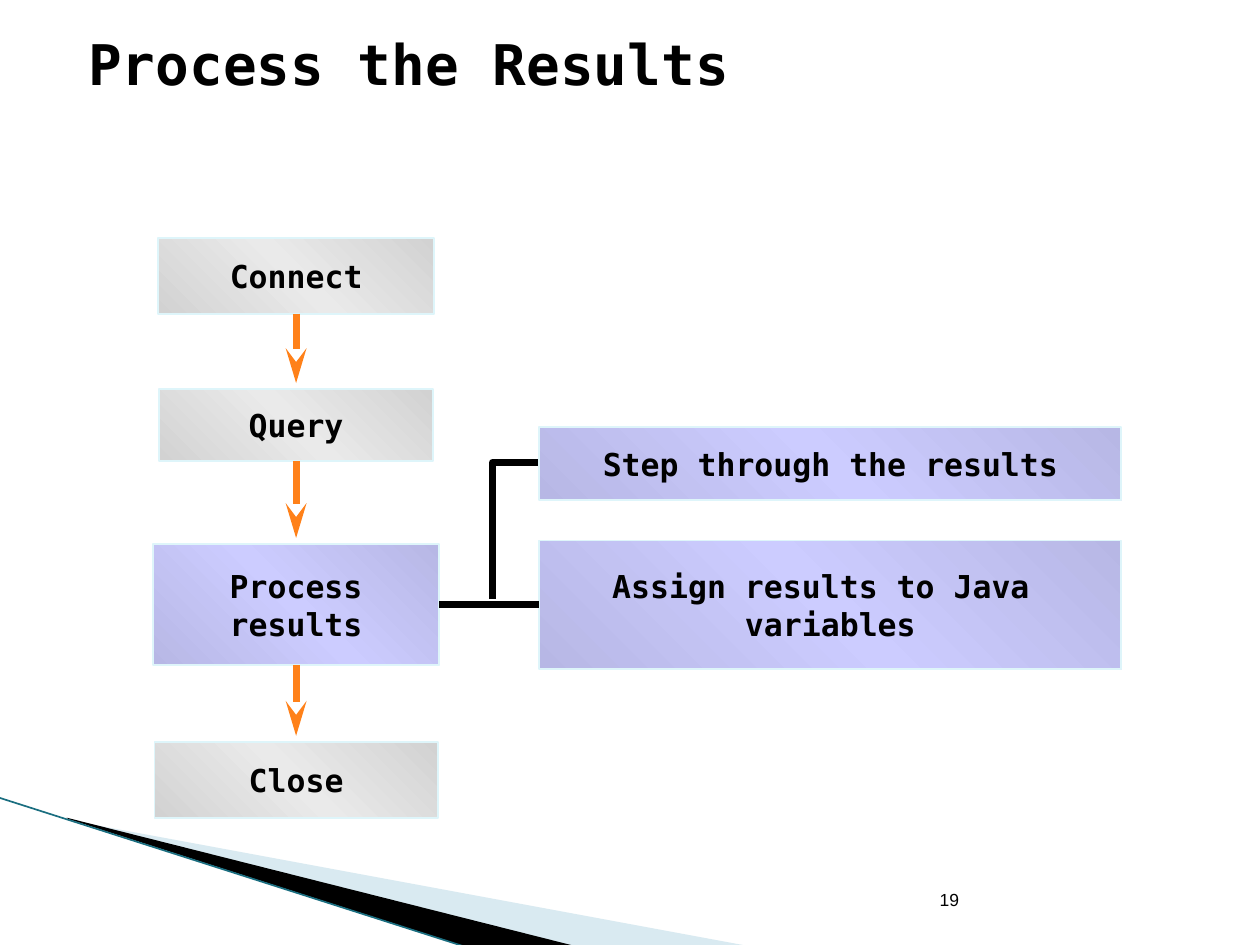
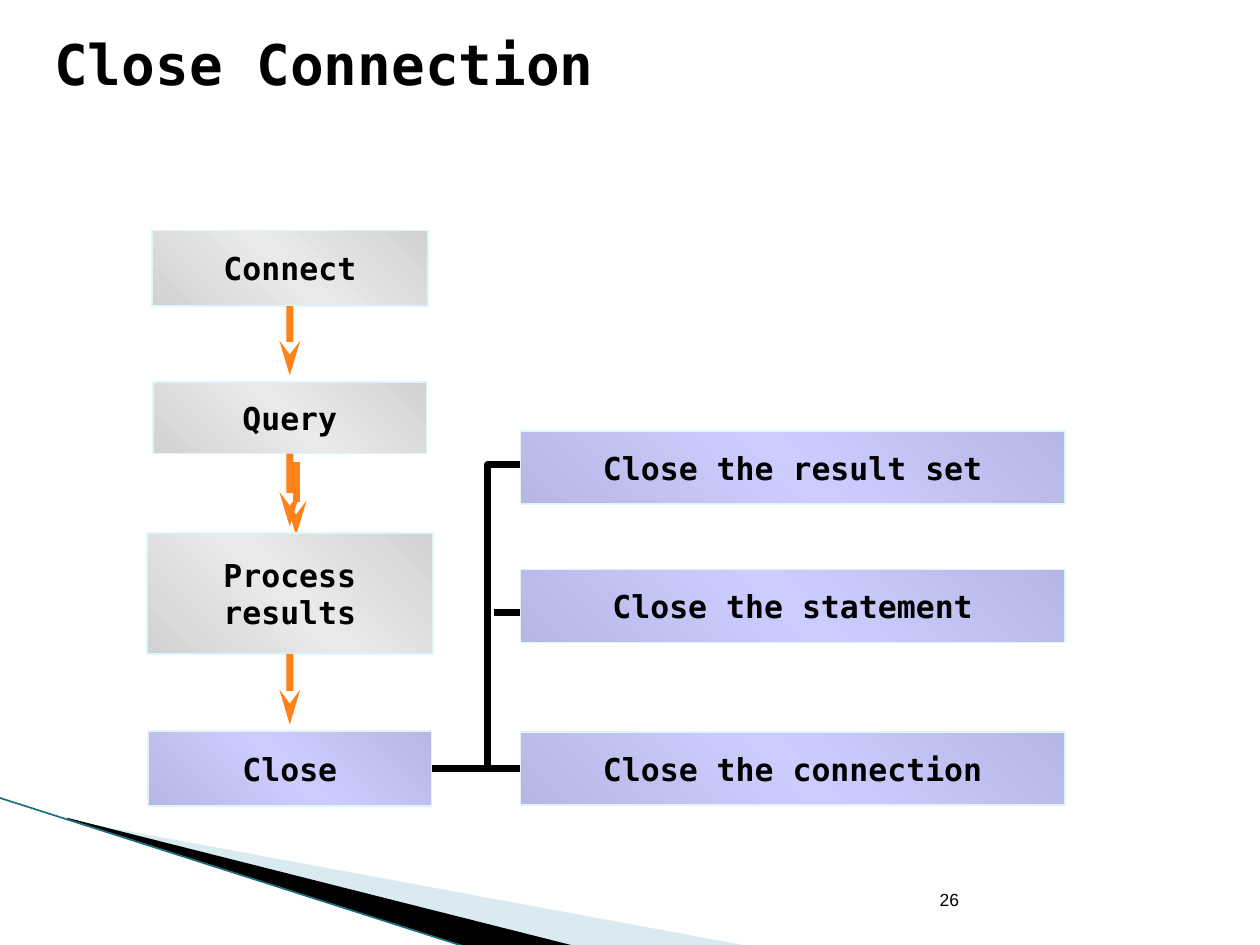
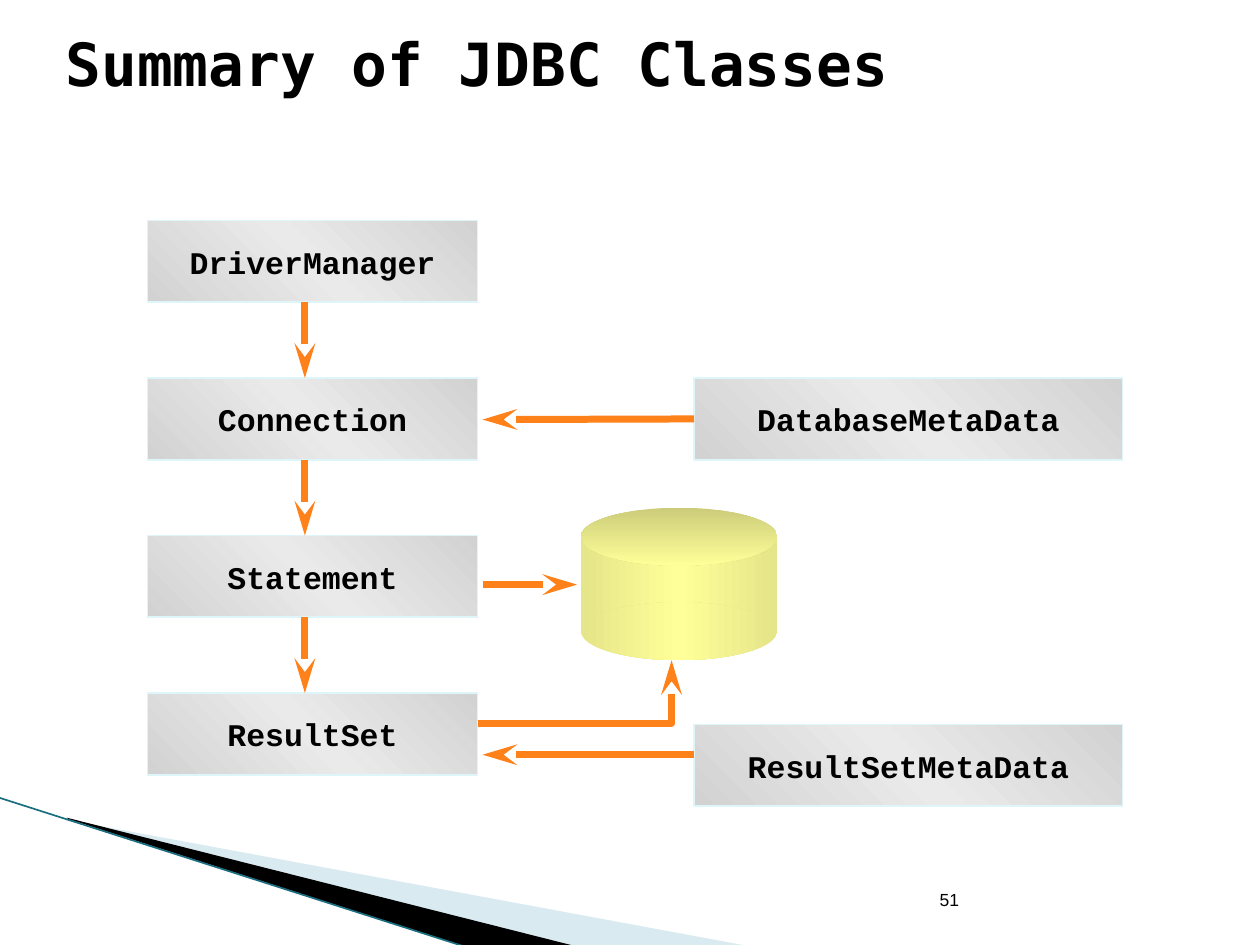
from itertools import pairwise

from lxml import etree
from pptx import Presentation, util as u
from pptx.dml.color import RGBColor
from pptx.enum import shapes as kinds, text as t
from pptx.oxml.ns import qn

BLACK = RGBColor(0, 0, 0)
ORANGE = RGBColor(0xFF, 0x81, 0x19)
PALE_BLUE = RGBColor(0xA0, 0xCB, 0xDC)
TEAL = RGBColor(0x1A, 0x6E, 0x80)
BOX_EDGE = RGBColor(0xDE, 0xF5, 0xFA)
GREY, LIGHT_GREY = RGBColor(0xD2, 0xD2, 0xD2), RGBColor(0xEA, 0xEA, 0xEA)
LILAC, LIGHT_LILAC = RGBColor(0xB7, 0xB7, 0xE5), RGBColor(0xCC, 0xCC, 0xFF)
OLIVE = RGBColor(0xCC, 0xCC, 0x7A)
STRAW, YELLOW = RGBColor(0xE5, 0xE5, 0x89), RGBColor(0xFF, 0xFF, 0x99)

PLAIN = (GREY, LIGHT_GREY, GREY)
ACTIVE = (LILAC, LIGHT_LILAC, LILAC)
BARREL = (STRAW, YELLOW, STRAW)

MONO, CODE, SANS = "DejaVu Sans Mono", "Courier New", "Arial"
TOP, LEFT, BOTTOM, RIGHT = range(4)
ARROW_GAP = 0.05


def inches(*lengths):
    return [u.Inches(length) for length in lengths]


# Text and fills
def write(shape, words, font=MONO, size=18, bold=True,
          align=t.PP_ALIGN.LEFT, anchor=t.MSO_ANCHOR.MIDDLE, wrap=True):
    frame = shape.text_frame
    frame.word_wrap = wrap
    frame.vertical_anchor = anchor
    paragraph = frame.paragraphs[0]
    paragraph.text = words
    paragraph.alignment = align
    for run in paragraph.runs:
        run.font.name, run.font.size, run.font.bold = font, u.Pt(size), bold
        run.font.color.rgb = BLACK


def fill_gradient(shape, colours, angle):
    """Spread the colours evenly; the angle runs clockwise in degrees."""
    shape.fill.gradient()
    gradient = shape.element.spPr.find(qn("a:gradFill"))
    for child in list(gradient):
        gradient.remove(child)
    stops = etree.SubElement(gradient, qn("a:gsLst"))
    for i, colour in enumerate(colours):
        position = 100000 * i // (len(colours) - 1)
        stop = etree.SubElement(stops, qn("a:gs"), pos=str(position))
        etree.SubElement(stop, qn("a:srgbClr"), val=str(colour))
    etree.SubElement(gradient, qn("a:lin"), ang=str(angle * 60000), scaled="0")


# Shapes
def gradient_shape(slide, kind, area, colours, angle):
    shape = slide.shapes.add_shape(kind, *inches(*area))
    shape.shadow.inherit = False
    fill_gradient(shape, colours, angle)
    shape.line.fill.background()
    return shape


def box(slide, words, area, colours=PLAIN, font=MONO):
    shape = gradient_shape(slide, kinds.MSO_SHAPE.RECTANGLE, area, colours, 315)
    shape.line.color.rgb = BOX_EDGE
    shape.line.width = u.Pt(1)
    write(shape, words, font=font, align=t.PP_ALIGN.CENTER, wrap=False)
    return shape


def outline(slide, points, closed=False):
    first, *others = [inches(*point) for point in points]
    builder = slide.shapes.build_freeform(*first)
    builder.add_line_segments(others, close=closed)
    shape = builder.convert_to_shape()
    shape.shadow.inherit = False
    return shape


def wedge(slide, points, colour):
    shape = outline(slide, points, closed=True)
    shape.fill.solid()
    shape.fill.fore_color.rgb = colour
    shape.line.fill.background()
    return shape


# Lines and arrows
def style_line(shape, colour, width=4, arrow=False):
    shape.line.color.rgb = colour
    shape.line.width = u.Pt(width)
    if arrow:
        etree.SubElement(shape.line._get_or_add_ln(), qn("a:tailEnd"),
                         type="stealth", w="med", len="lg")


def bracket(slide, points, colour=BLACK, arrow=False):
    shape = outline(slide, points)
    shape.fill.background()
    style_line(shape, colour, arrow=arrow)


def connect(slide, start, end, colour=ORANGE, width=4, arrow=True,
            source=None, target=None):
    """Draw a line; source and target are (box, side) pairs to join."""
    link = slide.shapes.add_connector(
        kinds.MSO_CONNECTOR.STRAIGHT, *inches(*start, *end))
    style_line(link, colour, width, arrow)
    etree.SubElement(link.element.spPr, qn("a:effectLst"))
    if source:
        link.begin_connect(*source)
    if target:
        link.end_connect(*target)
    return link


def join(slide, step, detail):
    y = (step.top + step.height / 2) / u.Inches(1)
    ends = (step.left + step.width) / u.Inches(1), detail.left / u.Inches(1)
    connect(slide, (ends[0], y), (ends[1], y), colour=BLACK, arrow=False,
            source=(step, RIGHT), target=(detail, LEFT))


# Shared parts
def decorate(layout, slide):
    """Move the corner wedges into the layout, behind its placeholders."""
    pale = wedge(slide, [(0.55, 6.51), (5.95, 7.51), (4.56, 7.51), (0.55, 6.5)],
                 PALE_BLUE)
    tint = pale.element.spPr.find(qn("a:solidFill"))[0]
    etree.SubElement(tint, qn("a:alpha"), val="40000")
    dark = wedge(slide, [(0.53, 6.49), (4.57, 7.51), (3.72, 7.52), (0.54, 6.5)],
                 BLACK)
    edge = connect(slide, (-0.01, 6.33), (3.71, 7.52), TEAL, 0.95, arrow=False)
    for i, part in enumerate((pale, dark, edge)):
        part.element.xpath(".//p:cNvPr")[0].set("id", str(50 + i))
        layout.shapes.element.insert(2 + i, part.element)


def add_slide(deck, layout, heading, number, left=0.33, size=32):
    slide = deck.slides.add_slide(layout)
    title = slide.shapes.title
    title.left, title.top, title.width, title.height = inches(left, 0, 10, 1)
    write(title, heading, size=size)
    page = slide.shapes.add_textbox(*inches(7.36, 7.01, 2.1, 0.4))
    write(page, str(number), font=SANS, size=10, bold=False,
          anchor=t.MSO_ANCHOR.TOP)
    return slide


def add_steps(slide, centre, tops, active):
    """Draw the four steps of a query, with an arrow from each to the next."""
    sizes = {"Connect": (2.19, 0.6), "Query": (2.17, 0.57),
             "Process\nresults": (2.27, 0.96), "Close": (2.25, 0.6)}
    steps = [
        box(slide, name, (centre - width / 2, top, width, height),
            ACTIVE if name == active else PLAIN)
        for (name, (width, height)), top in zip(sizes.items(), tops)]
    for step, next_top in zip(steps, tops[1:]):
        bottom = (step.top + step.height) / u.Inches(1)
        connect(slide, (centre, bottom), (centre, next_top - ARROW_GAP),
                source=(step, BOTTOM))
    return steps


# Slides
def process_slide(deck, layout):
    slide = add_slide(deck, layout, "Process the Results", 19, left=0.6)
    bracket(slide, [(3.91, 4.75), (3.91, 3.67), (4.28, 3.67)])
    steps = add_steps(slide, 2.35, (1.89, 3.09, 4.32, 5.89), "Process\nresults")
    box(slide, "Step through the results", (4.28, 3.39, 4.62, 0.58), ACTIVE)
    assign = box(slide, "Assign results to Java \nvariables",
                 (4.28, 4.29, 4.62, 1.02), ACTIVE)
    join(slide, steps[2], assign)


def close_slide(deck, layout):
    slide = add_slide(deck, layout, "Close Connection", 26)
    connect(slide, (2.35, 3.67), (2.35, 4.25))
    connect(slide, (3.92, 4.86), (4.14, 4.86), colour=BLACK, arrow=False)
    bracket(slide, [(3.87, 6.11), (3.87, 3.69), (4.13, 3.69)])
    steps = add_steps(slide, 2.3, (1.83, 3.03, 4.23, 5.8), "Close")
    details = [
        box(slide, f"Close the {part}", (4.13, top, 4.32, 0.58), ACTIVE)
        for part, top in (("result set", 3.42), ("statement", 4.52),
                          ("connection", 5.81))]
    join(slide, steps[-1], details[-1])


def database(slide, left, top, width):
    cap, body = 0.46, 0.75
    oval = kinds.MSO_SHAPE.OVAL
    gradient_shape(slide, kinds.MSO_SHAPE.RECTANGLE,
                   (left, top + cap / 2, width, body), BARREL, 0)
    gradient_shape(slide, oval, (left, top, width, cap), (OLIVE, YELLOW), 90)
    gradient_shape(slide, oval, (left, top + body, width, cap), BARREL, 0)


def classes_slide(deck, layout):
    slide = add_slide(deck, layout, "Summary of JDBC Classes", 51,
                      left=0.42, size=34)
    first_top, pitch, height = 1.75, 1.25, 0.65
    names = ("DriverManager", "Connection", "Statement", "ResultSet")
    tops = [first_top + pitch * row for row in range(len(names))]
    for name, top in zip(names, tops):
        box(slide, name, (1.17, top, 2.62, height), font=CODE)
    for above, below in pairwise(tops):
        connect(slide, (2.42, above + height), (2.42, below))

    # Metadata classes
    database_info = box(slide, "DatabaseMetaData", (5.51, 3, 3.4, height),
                        font=CODE)
    connect(slide, (5.51, 3.33), (3.83, 3.33), source=(database_info, LEFT))
    box(slide, "ResultSetMetaData", (5.51, 5.75, 3.4, height), font=CODE)
    connect(slide, (5.51, 5.99), (3.83, 5.99))

    # Database and its links
    connect(slide, (3.83, 4.64), (4.58, 4.64))
    database(slide, 4.61, 4.03, 1.56)
    bracket(slide, [(3.79, 5.74), (5.33, 5.74), (5.33, 5.24)], ORANGE, arrow=True)


def main():
    deck = Presentation()
    deck.slide_width, deck.slide_height = inches(10, 7.5)
    layout = deck.slide_layouts.get_by_name("Title Only")
    process_slide(deck, layout)
    decorate(layout, deck.slides[0])
    close_slide(deck, layout)
    classes_slide(deck, layout)
    deck.save("out.pptx")


if __name__ == "__main__":
    main()
